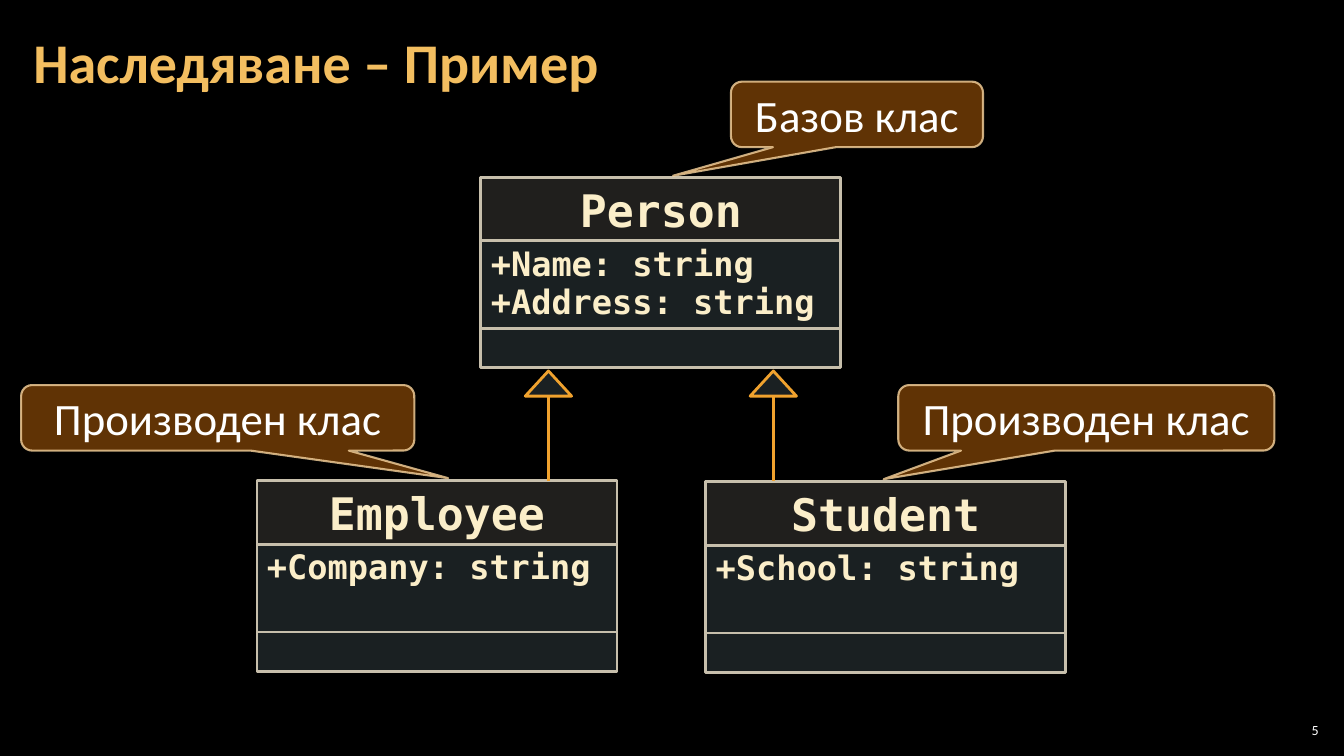
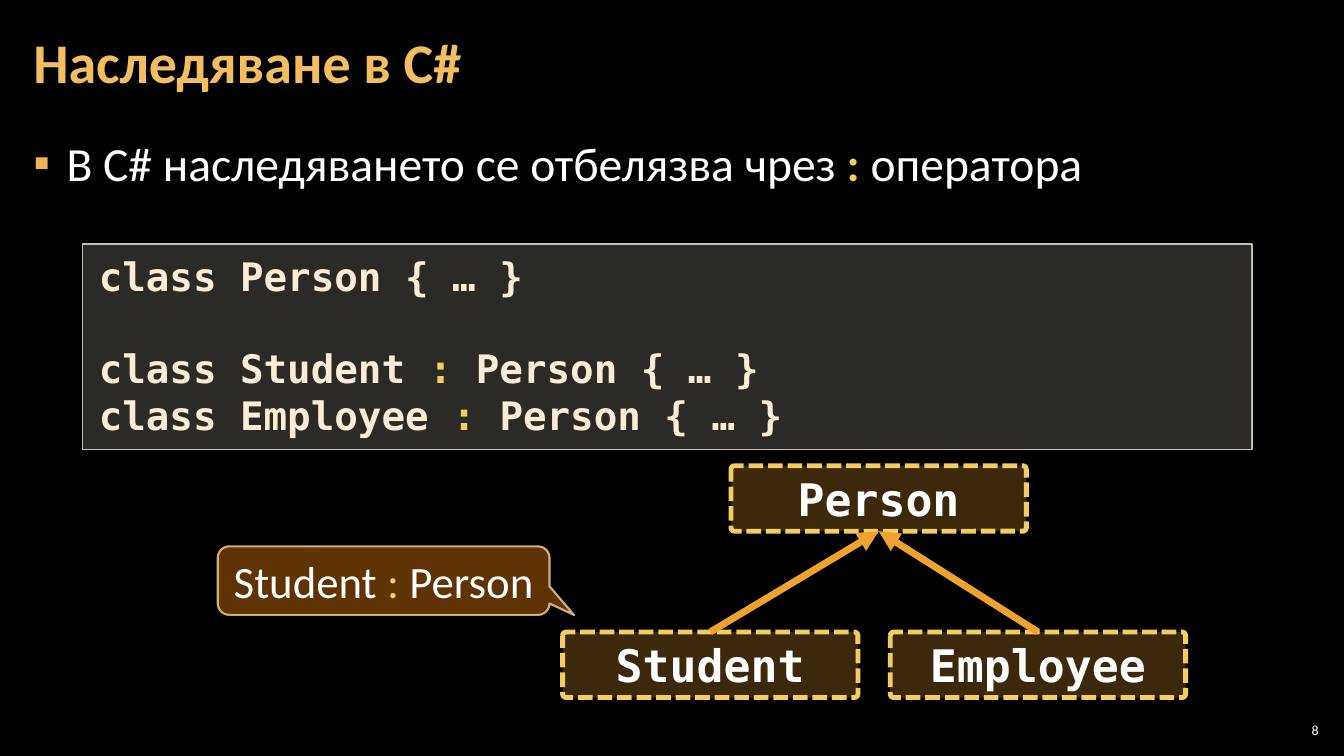
from lxml import etree
from pptx import Presentation
from pptx.dml.color import RGBColor
from pptx.enum.dml import MSO_LINE
from pptx.enum.shapes import MSO_CONNECTOR, MSO_SHAPE
from pptx.enum.text import MSO_ANCHOR, MSO_AUTO_SIZE, PP_ALIGN
from pptx.oxml.ns import qn
from pptx.util import Inches, Pt

RECT, ROUND = MSO_SHAPE.RECTANGLE, MSO_SHAPE.ROUNDED_RECTANGLE
CALLOUT = MSO_SHAPE.ROUNDED_RECTANGULAR_CALLOUT
TRIANGLE = MSO_SHAPE.ISOSCELES_TRIANGLE
STRAIGHT = MSO_CONNECTOR.STRAIGHT
DASH = MSO_LINE.SQUARE_DOT
TOP, MIDDLE = MSO_ANCHOR.TOP, MSO_ANCHOR.MIDDLE
LEFT, CENTER, RIGHT = PP_ALIGN.LEFT, PP_ALIGN.CENTER, PP_ALIGN.RIGHT
NO_FIT = MSO_AUTO_SIZE.NONE

SANS, MONO = "Calibri", "DejaVu Sans Mono"
COLORS = {
    "background": "000000", "white": "FFFFFF", "title": "F3BE60",
    "accent": "F3CD60", "bullet": "F2B254", "orange": "F0A22E",
    "sand": "D9D5C7", "border": "C7BFAC", "cyan": "B5DBE5",
    "uml": "FBEEC9", "code": "FCECD5",
    "callout": "663606", "callout_line": "F8D49E",
}
COLON = {"color": "accent"}

CLASS_WIDTH = 3.57
HEADER_H, FIELDS_H, METHODS_H = 0.63, 0.87, 0.39
CLASSES = [
    ("Person", ["+Name: string", "+Address: string"], 4.77, 1.76),
    ("Employee", ["+Company: string"], 2.55, 4.77),
    ("Student", ["+School: string"], 7, 4.78),
]
INHERITANCE_X = [5.44, 7.67]
CLASS_CALLOUTS = [
    ("Производен клас", (0.21, 3.82, 3.9, 0.65), (0.586, 0.921)),
    ("Производен клас", (8.91, 3.82, 3.73, 0.65), (-0.539, 0.937)),
    ("Базов клас", (7.25, 0.81, 2.5, 0.65), (-0.73, 0.937)),
]

BODY = [[("В C# наследяването се отбелязва чрез ", {}),
         (": ", {"color": "accent", "bold": True}),
         ("оператора", {})]]
CODE = [
    "class Person { … }",
    [("class Student ", {}), (": ", COLON), ("Person { … }", {})],
    [("class Employee ", {}), (": ", COLON), ("Person { … }", {})],
]
TREE = {"Person": (7.25, 4.62), "Employee": (8.83, 6.27), "Student": (5.58, 6.27)}
TREE_CALLOUT = [("Student ", {}), (":", COLON), (" Person", {})]


def rgb(name):
    return RGBColor.from_string(COLORS[name])


def write(shape, paragraphs, size=32, font=SANS, color="white", bold=False,
          align=LEFT, anchor=MIDDLE, spacing=None, insets=(0.1, 0.05)):
    tf = shape.text_frame
    tf.word_wrap = True
    tf.auto_size = NO_FIT
    tf.vertical_anchor = anchor
    tf.margin_left = tf.margin_right = Inches(insets[0])
    tf.margin_top = tf.margin_bottom = Inches(insets[1])
    for i, runs in enumerate(paragraphs):
        p = tf.add_paragraph() if i else tf.paragraphs[0]
        p.alignment = align
        p.space_before = Pt(0)
        if spacing:
            p.line_spacing = spacing
        for text, own in [(runs, {})] if isinstance(runs, str) else runs:
            r = p.add_run()
            r.text = text
            r.font.name = font
            r.font.size = Pt(size)
            r.font.bold = own.get("bold", bold)
            r.font.color.rgb = rgb(own.get("color", color))
    return tf


def set_alpha(parent, percent):
    color = parent.find(qn("a:solidFill"))[0]
    etree.SubElement(color, qn("a:alpha"), val=str(percent * 1000))


def place(shape, box):
    shape.left, shape.top, shape.width, shape.height = map(Inches, box)


def add_box(s, kind, box, fill, alpha, line, width):
    sp = s.shapes.add_shape(kind, *map(Inches, box))
    sp.shadow.inherit = False
    sp.fill.solid()
    sp.fill.fore_color.rgb = rgb(fill)
    set_alpha(sp.element.spPr, alpha)
    sp.line.color.rgb = rgb(line)
    sp.line.width = Pt(width)
    return sp


def add_callout(s, runs, box, tip):
    sp = add_box(s, CALLOUT, box, "callout", 95, "callout_line", 1.5)
    set_alpha(sp.element.spPr.find(qn("a:ln")), 80)
    sp.adjustments[0], sp.adjustments[1] = tip
    write(sp, [runs], align=CENTER)


def add_line(s, width, start=(0, 0), end=(0, 0)):
    line = s.shapes.add_connector(STRAIGHT, *map(Inches, start + end))
    line.line.color.rgb = rgb("orange")
    line.line.width = Pt(width)
    etree.SubElement(line.element.spPr, qn("a:effectLst"))
    return line


def add_class(s, name, fields, left, top):
    header = add_box(s, RECT, (left, top, CLASS_WIDTH, HEADER_H), "sand", 15, "border", 2)
    write(header, [name], font=MONO, color="uml", bold=True, align=CENTER)
    top += HEADER_H
    body = add_box(s, RECT, (left, top, CLASS_WIDTH, FIELDS_H), "cyan", 15, "border", 2)
    write(body, fields, size=24, font=MONO, color="uml", bold=True,
          anchor=TOP, spacing=0.95)
    top += FIELDS_H
    add_box(s, RECT, (left, top, CLASS_WIDTH, METHODS_H), "cyan", 15, "border", 2)


def new_slide(prs, layout, title, number):
    s = prs.slides.add_slide(prs.slide_layouts[layout])
    place(s.shapes.title, (0.21, 0.04, 10.47, 1.21))
    write(s.shapes.title, [title], size=40, color="title", bold=True,
          spacing=0.9, insets=(0.12, 0.04))
    box = s.shapes.add_textbox(*map(Inches, (12.65, 7.14, 0.47, 0.21)))
    write(box, [number], size=10, align=RIGHT, insets=(0.04, 0.04))
    return s


def build_diagram(prs):
    s = new_slide(prs, 5, "Наследяване – Пример", "5")
    for entry in CLASSES:
        add_class(s, *entry)
    for x in INHERITANCE_X:
        add_line(s, 2, (x, 4.77), (x, 3.93))
        add_box(s, TRIANGLE, (x - 0.23, 3.68, 0.46, 0.25), "cyan", 15, "orange", 2)
    for entry in CLASS_CALLOUTS:
        add_callout(s, *entry)


def build_syntax(prs):
    s = new_slide(prs, 1, "Наследяване в C#", "8")
    body = s.placeholders[1]
    place(body, (0.21, 1.26, 12.91, 6.09))
    pPr = body.text_frame.paragraphs[0]._p.get_or_add_pPr()
    pPr.set("marL", str(Inches(0.33)))
    pPr.set("indent", str(Inches(-0.33)))
    bullet_color = etree.SubElement(pPr, qn("a:buClr"))
    etree.SubElement(bullet_color, qn("a:srgbClr"), val=COLORS["bullet"])
    etree.SubElement(pPr, qn("a:buChar"), char="▪")
    write(body, BODY, size=34, anchor=TOP, spacing=1.05, insets=(0.12, 0.04))

    code = add_box(s, RECT, (0.82, 2.42, 11.6, 2.04), "sand", 20, "border", 1)
    tf = write(code, CODE, size=28, font=MONO, color="code", bold=True,
               anchor=TOP, insets=(0.16, 0.08))
    tf.paragraphs[1].space_before = Pt(32.6)

    nodes = {}
    for name, (left, top) in TREE.items():
        sp = add_box(s, ROUND, (left, top, 2.93, 0.65), "orange", 25, "accent", 3.5)
        sp.adjustments[0] = 0.054
        sp.line.dash_style = DASH
        write(sp, [name], font=MONO, bold=True, align=CENTER, anchor=TOP)
        nodes[name] = sp
    for child in ("Employee", "Student"):
        arrow = add_line(s, 5)
        arrow.begin_connect(nodes[child], 0)
        arrow.end_connect(nodes["Person"], 2)
        ln = arrow.element.spPr.find(qn("a:ln"))
        etree.SubElement(ln, qn("a:tailEnd"), type="triangle")
    add_callout(s, TREE_CALLOUT, (2.16, 5.42, 3.29, 0.68), (0.574, 0.502))


def main():
    prs = Presentation()
    prs.slide_width, prs.slide_height = Inches(13.33), Inches(7.5)
    background = prs.slide_master.background.fill
    background.solid()
    background.fore_color.rgb = rgb("background")
    build_diagram(prs)
    build_syntax(prs)
    prs.save("out.pptx")


if __name__ == "__main__":
    main()
